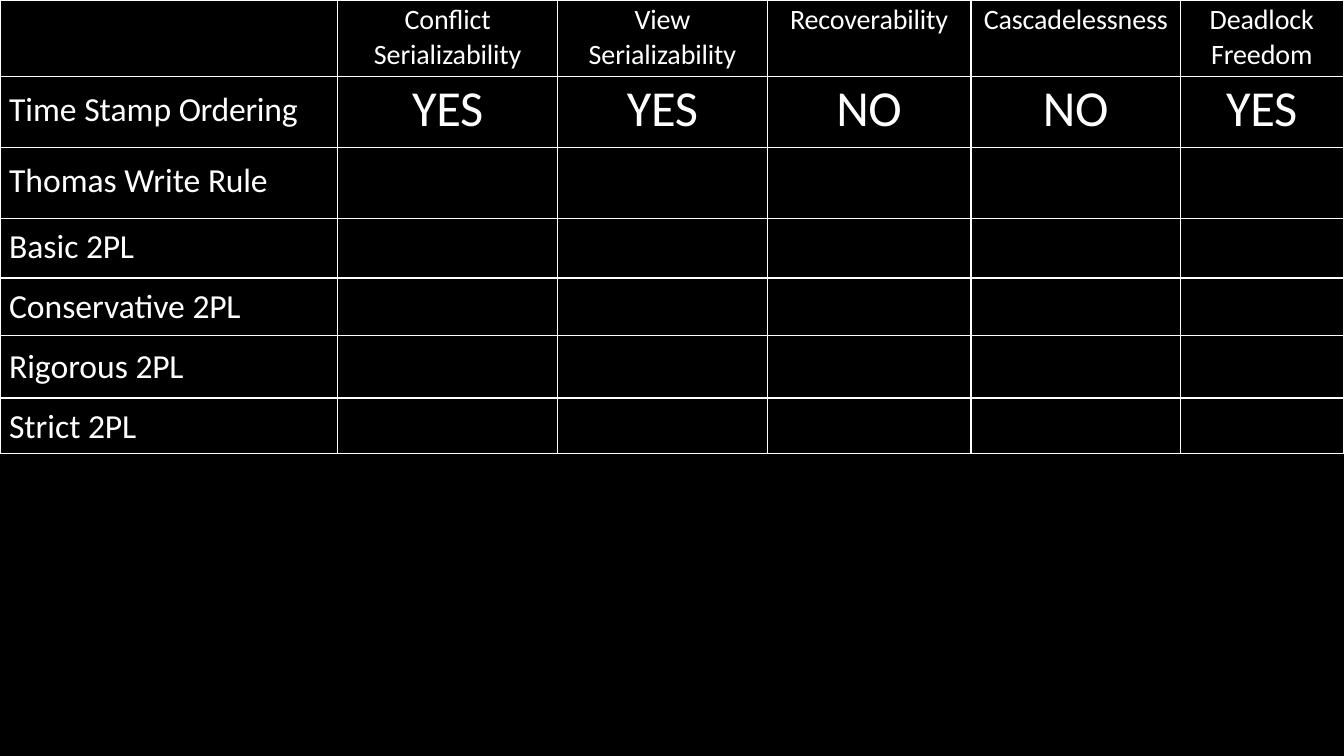
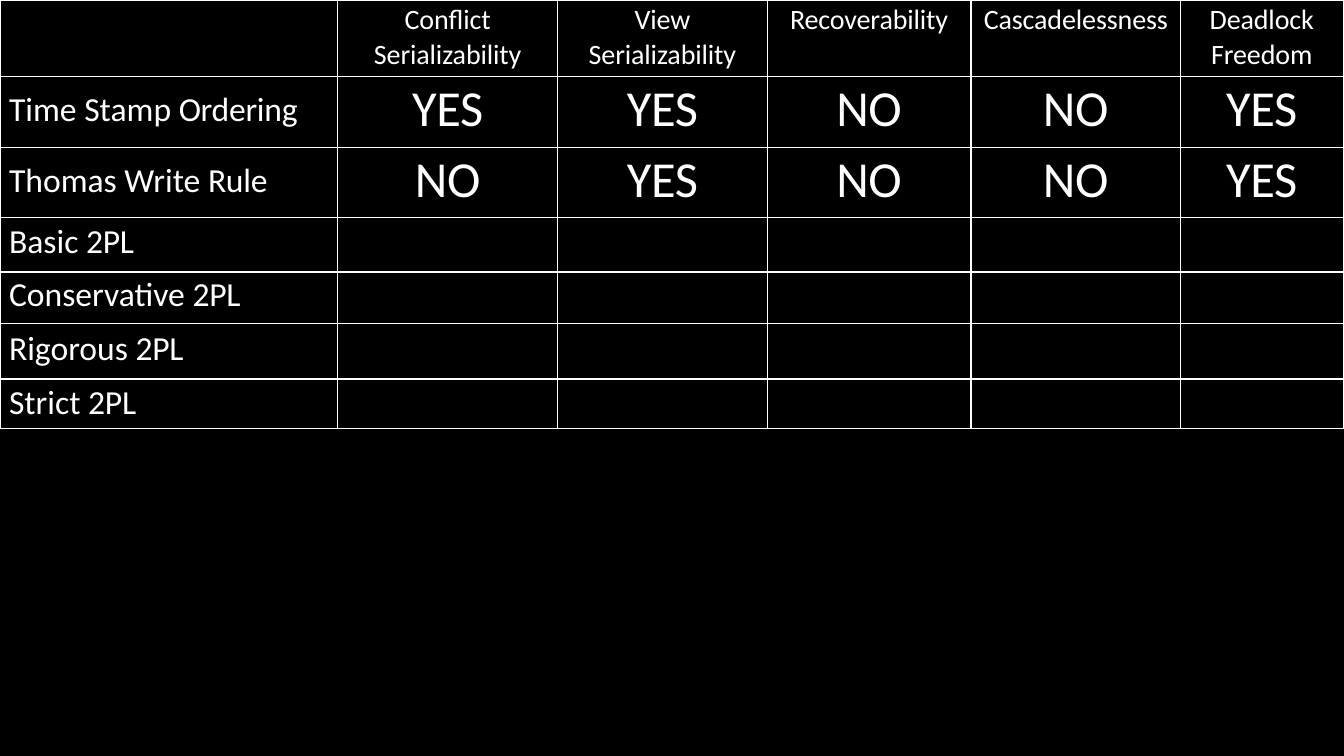
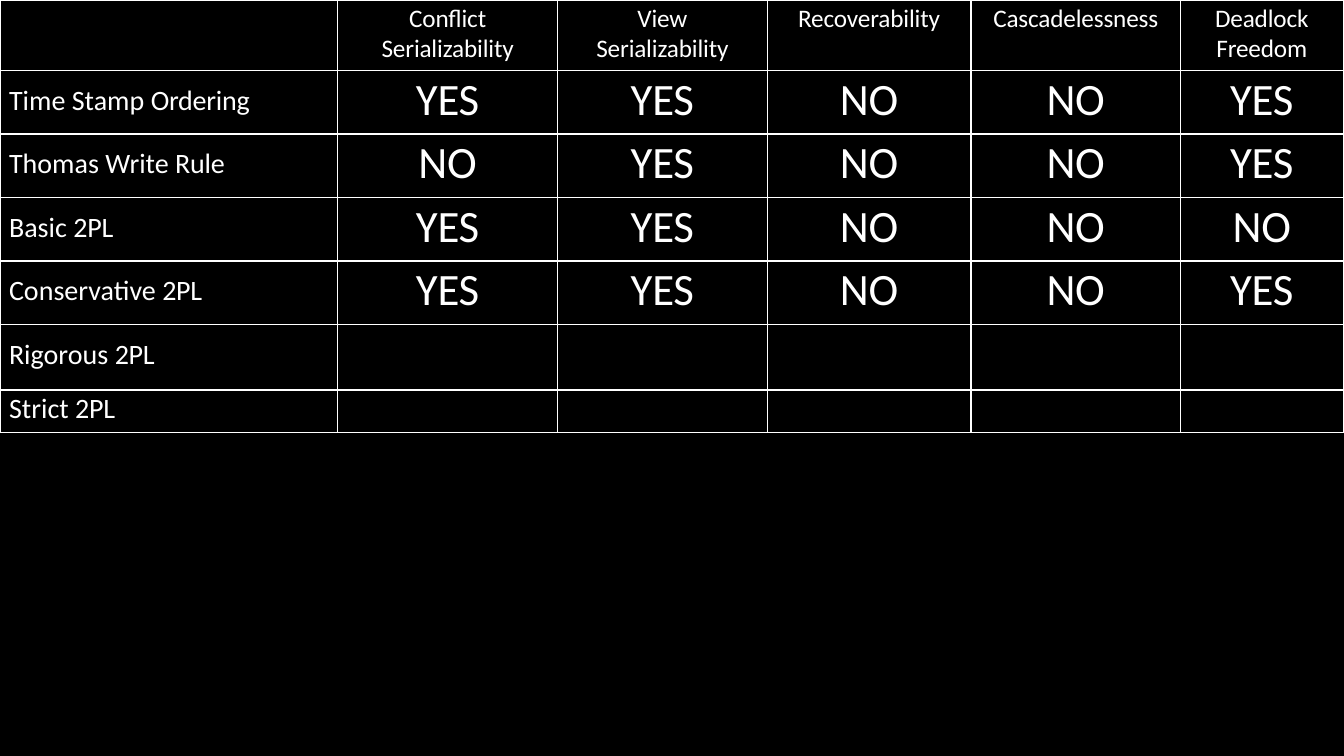
from itertools import product

from lxml.etree import SubElement
from pptx import Presentation
from pptx.dml.color import RGBColor
from pptx.enum.shapes import MSO_CONNECTOR
from pptx.enum.text import PP_ALIGN
from pptx.oxml.ns import qn
from pptx.util import Inches, Pt

BLACK = RGBColor(0x00, 0x00, 0x00)
WHITE = RGBColor(0xFF, 0xFF, 0xFF)
FONT = "Calibri"
SLIDE_SIZE = (13.33, 7.5)
COLUMN_WIDTHS = (3.35, 2.18, 2.08, 2.02, 2.08, 1.61)
LABEL_INDENT = 0.09
HEADER_MARGIN, LABEL_MARGIN, ANSWER_MARGIN = 0.03, 0.13, 0.02
INNER_LINE, OUTER_LINE = 1, 0.5
TIGHT, TIGHTER = -10, -20

PROPERTIES = (
    ("Conflict", "Serializability"),
    ("View", "Serializability"),
    ("Recoverability",),
    ("Cascadelessness",),
    ("Deadlock", "Freedom"),
)
PROTOCOLS = (
    ("Time Stamp ", "Ordering"),
    ("Thomas Write ", "Rule"),
    ("Basic ", "2PL"),
    ("Conservative ", "2PL"),
    ("Rigorous ", "2PL"),
    ("Strict ", "2PL"),
)
ANSWERS = (
    ("YES", "YES", "NO", "NO", "YES"),
    ("NO", "YES", "NO", "NO", "YES"),
    ("YES", "YES", "NO", "NO", "NO"),
    ("YES", "YES", "NO", "NO", "YES"),
)

LARGE_TEXT = {"header": 20, "label": 24, "answer": 36}
SMALL_TEXT = {"header": 18, "label": 20, "answer": 32}
STEPS = (
    {"answered": 1, "sizes": LARGE_TEXT, "rows": (0.76, 0.7, 3.04),
     "rules": (2.17, 2.76, 3.33, 3.95), "gaps": (0, 17.8, 13.6, 13.6, 13.6),
     "open_margin": LABEL_MARGIN},
    {"answered": 2, "sizes": LARGE_TEXT, "rows": (0.76, 0.7, 0.7, 2.09),
     "rules": (2.7, 3.21, 3.76), "gaps": (0, 8.6, 9.3, 9.3),
     "open_margin": 0.04},
    {"answered": 4, "sizes": SMALL_TEXT, "rows": (0.7,) + (0.63,) * 4 + (1.07,),
     "rules": (3.87,), "gaps": (0, 14.4),
     "open_margin": LABEL_MARGIN},
)


def start_deck():
    """Create the deck with a black master background."""
    deck = Presentation()
    deck.slide_width, deck.slide_height = (Inches(side) for side in SLIDE_SIZE)
    fill = deck.slide_master.background.fill
    fill.solid()
    fill.fore_color.rgb = BLACK
    return deck


def add_span(para, text, size, tracking):
    """Add one white run with its letter spacing."""
    span = para.add_run()
    span.text = text
    span.font.name = FONT
    span.font.size = Pt(size)
    span.font.color.rgb = WHITE
    span.font._element.set("spc", str(tracking))


def write_centred(cell, lines, size, tracking, margin):
    """Write centred lines into a header or answer cell."""
    cell.margin_top = Inches(margin)
    frame = cell.text_frame
    for index, line in enumerate(lines):
        para = frame.add_paragraph() if index else frame.paragraphs[0]
        para.alignment = PP_ALIGN.CENTER
        add_span(para, line, size, tracking)


def write_labels(cell, protocols, gaps, size, margin):
    """Write protocol names into a label cell, each below its gap."""
    cell.margin_top, cell.margin_left = Inches(margin), Inches(LABEL_INDENT)
    frame = cell.text_frame
    for index, ((start, end), gap) in enumerate(zip(protocols, gaps)):
        para = frame.add_paragraph() if index else frame.paragraphs[0]
        para.alignment = PP_ALIGN.LEFT
        para.space_before = Pt(gap)
        add_span(para, start, size, 0)
        add_span(para, end, size, TIGHTER)


def draw_borders(cell, outer_sides):
    """Line all four sides of a cell, thinner on the table's outer edge."""
    properties = cell._tc.get_or_add_tcPr()
    for index, side in enumerate("LRTB"):
        width = OUTER_LINE if side in outer_sides else INNER_LINE
        line = SubElement(properties, qn(f"a:ln{side}"), w=str(Pt(width)))
        SubElement(SubElement(line, qn("a:solidFill")), qn("a:srgbClr"), val=str(WHITE))
        properties.insert(index, line)


def style_grid(table):
    """Set fill, margins and borders of every cell."""
    last_column = len(table.columns) - 1
    for row, column in product(range(len(table.rows)), range(last_column + 1)):
        cell = table.cell(row, column)
        cell.fill.background()
        cell.margin_left = cell.margin_right = cell.margin_top = cell.margin_bottom = 0
        edges = {"L": column == 0, "R": column == last_column, "T": row == 0}
        draw_borders(cell, [side for side, is_outer in edges.items() if is_outer])


def add_grid(page, row_heights):
    """Add the empty protocol table at the top of a slide."""
    frame = page.shapes.add_table(
        len(row_heights), len(COLUMN_WIDTHS), 0, 0,
        Inches(sum(COLUMN_WIDTHS)), Inches(sum(row_heights)))
    table = frame.table
    table.first_row = table.horz_banding = False
    for column, width in zip(table.columns, COLUMN_WIDTHS):
        column.width = Inches(width)
    for row, height in zip(table.rows, row_heights):
        row.height = Inches(height)
    style_grid(table)
    return table


def add_rule(page, top):
    """Draw a white line across the slide."""
    rule = page.shapes.add_connector(
        MSO_CONNECTOR.STRAIGHT, 0, Inches(top), Inches(SLIDE_SIZE[0]), Inches(top))
    rule.line.color.rgb = WHITE
    rule.line.width = Pt(INNER_LINE)
    SubElement(rule._element.spPr, qn("a:effectLst"))


def add_step(deck, answered, sizes, rows, rules, gaps, open_margin):
    """Add a slide with the answered protocols and the open ones below."""
    page = deck.slides.add_slide(deck.slide_layouts[6])
    for top in rules:
        add_rule(page, top)
    table = add_grid(page, rows)
    for column, lines in enumerate(PROPERTIES, 1):
        write_centred(table.cell(0, column), lines, sizes["header"], TIGHT, HEADER_MARGIN)
    for row, answers in enumerate(ANSWERS[:answered], 1):
        write_labels(table.cell(row, 0), PROTOCOLS[row - 1:row], (0,),
                     sizes["label"], LABEL_MARGIN)
        for column, answer in enumerate(answers, 1):
            write_centred(table.cell(row, column), [answer], sizes["answer"],
                          TIGHTER, ANSWER_MARGIN)
    write_labels(table.cell(answered + 1, 0), PROTOCOLS[answered:], gaps,
                 sizes["label"], open_margin)


def main():
    """Build and save the deck."""
    deck = start_deck()
    for step in STEPS:
        add_step(deck, **step)
    deck.save("out.pptx")


if __name__ == "__main__":
    main()
